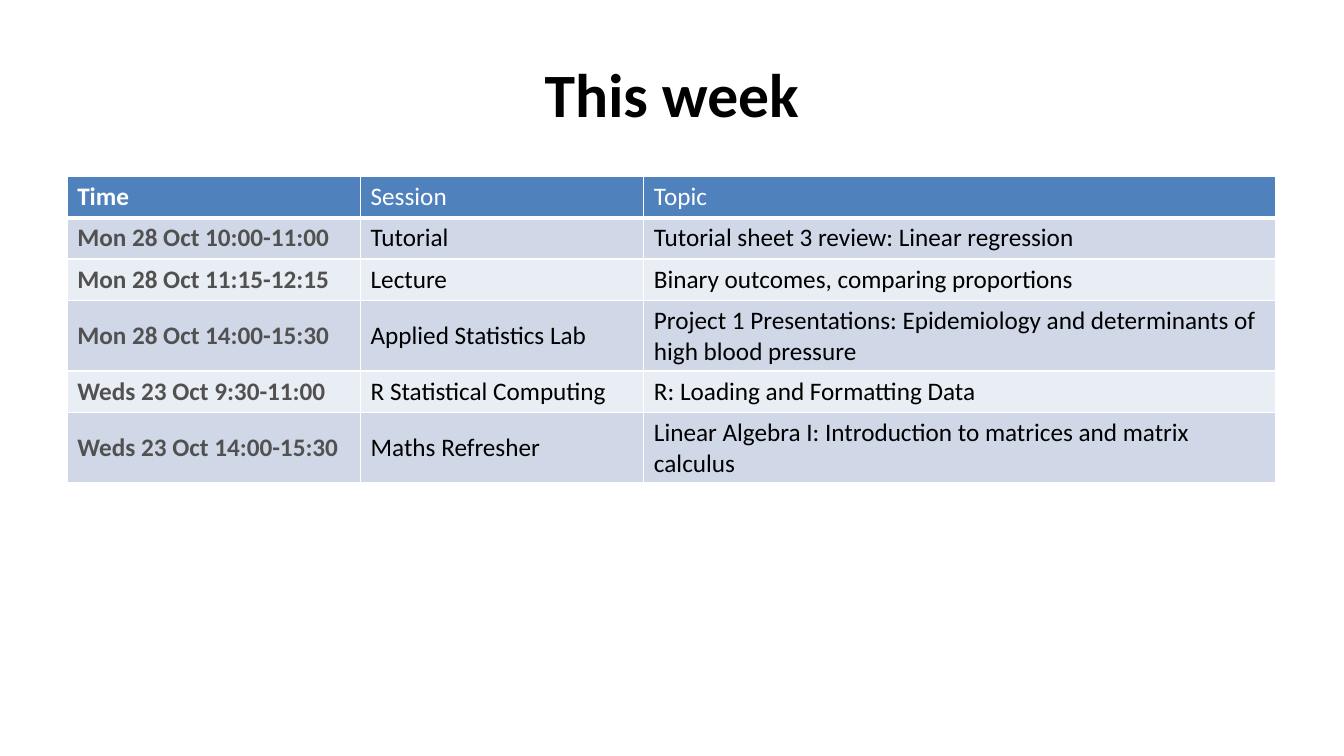
from lxml.etree import SubElement
from pptx import Presentation
from pptx.dml.color import RGBColor
from pptx.enum.text import MSO_ANCHOR, PP_ALIGN
from pptx.oxml.ns import qn
from pptx.util import Inches, Pt

WIDE, HIGH = 13.33, 7.5
EDGE = 0.05 * WIDE
SPAN = 0.9 * WIDE
COLS = [2.91, 2.81, 6.27]
ROW = 0.41
HEAD, BANDS = "4F81BD", ["D0D8E8", "E9EDF4"]
WHITE, BLACK, GREY = "FFFFFF", "000000", "515151"

WEEK = [
    ["Time", "Session", "Topic"],
    ["Mon 28 Oct 10:00-11:00", "Tutorial",
     "Tutorial sheet 3 review: Linear regression"],
    ["Mon 28 Oct 11:15-12:15", "Lecture",
     "Binary outcomes, comparing proportions"],
    ["Mon 28 Oct 14:00-15:30", "Applied Statistics Lab",
     "Project 1 Presentations: Epidemiology and determinants of "
     "high blood pressure"],
    ["Weds 23 Oct 9:30-11:00", "R Statistical Computing",
     "R: Loading and Formatting Data"],
    ["Weds 23 Oct 14:00-15:30", "Maths Refresher",
     "Linear Algebra I: Introduction to matrices and matrix calculus"],
]


def color(code):
    return RGBColor.from_string(code)


def add_run(para, text, size, code, bold):
    run = para.add_run()
    run.text = text
    font = run.font
    font.name, font.size, font.bold = "Calibri", Pt(size), bold
    font.color.rgb = color(code)


def add_title(slide, text):
    box = slide.shapes.add_textbox(Inches(EDGE), Inches(0.04 * HIGH),
                                   Inches(SPAN), Inches(HIGH / 6))
    frame = box.text_frame
    frame.word_wrap = True
    frame.vertical_anchor = MSO_ANCHOR.MIDDLE
    para = frame.paragraphs[0]
    para.alignment = PP_ALIGN.CENTER
    add_run(para, text, 44, BLACK, True)


def add_rules(cell, widths):
    # Cell borders go in before the fill, in schema order
    props = cell._tc.get_or_add_tcPr()
    for side, width in widths.items():
        line = SubElement(props, qn(f"a:ln{side}"), w=str(Pt(width)))
        fill = SubElement(line, qn("a:solidFill"))
        SubElement(fill, qn("a:srgbClr"), val=WHITE)


def fill_cell(cell, text, row, col):
    top = row == 0
    first = col == 0
    add_rules(cell, {"L": 1, "R": 1, "T": 3 if row == 1 else 1,
                     "B": 3 if top else 1})
    cell.fill.solid()
    cell.fill.fore_color.rgb = color(HEAD if top else BANDS[(row - 1) % 2])
    cell.vertical_anchor = MSO_ANCHOR.TOP if top else MSO_ANCHOR.MIDDLE
    ink = WHITE if top else GREY if first else BLACK
    add_run(cell.text_frame.paragraphs[0], text, 18, ink, first)


def add_grid(slide, data):
    frame = slide.shapes.add_table(
        len(data), len(COLS), Inches(EDGE), Inches(1.75),
        Inches(SPAN), Inches(ROW * len(data)))
    table = frame.table
    for col, width in zip(table.columns, COLS):
        col.width = Inches(width)
    for r, texts in enumerate(data):
        table.rows[r].height = Inches(ROW)
        for c, text in enumerate(texts):
            fill_cell(table.cell(r, c), text, r, c)


def main():
    deck = Presentation()
    deck.slide_width, deck.slide_height = Inches(WIDE), Inches(HIGH)
    slide = deck.slides.add_slide(deck.slide_layouts[6])
    # Heading
    add_title(slide, "This week")
    # Timetable
    add_grid(slide, WEEK)
    deck.save("out.pptx")


if __name__ == "__main__":
    main()
